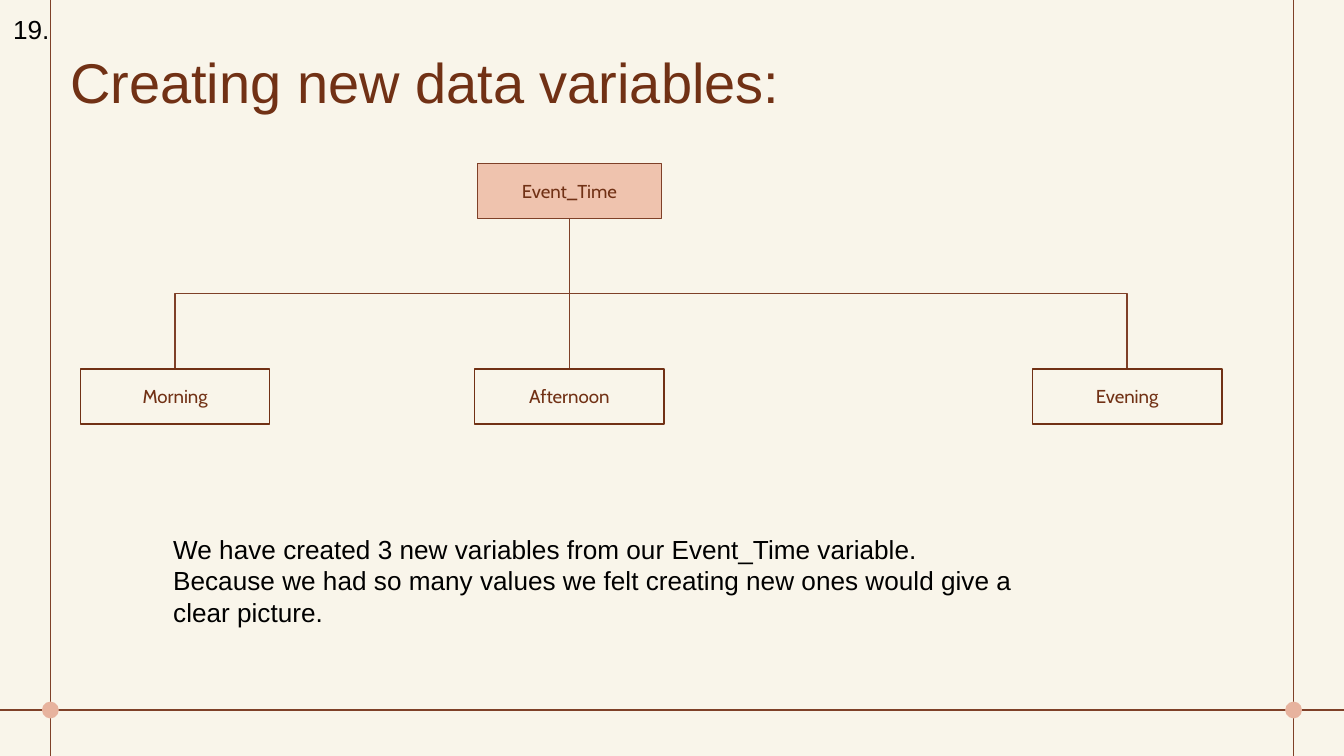
"""Build a slide showing how Event_Time splits into three new variables."""
from dataclasses import dataclass
from typing import Optional

from lxml import etree
from pptx import Presentation
from pptx.dml.color import RGBColor
from pptx.enum.shapes import MSO_CONNECTOR, MSO_SHAPE
from pptx.enum.text import MSO_ANCHOR, MSO_AUTO_SIZE, PP_ALIGN
from pptx.oxml.ns import qn
from pptx.util import Pt

STRAIGHT, ELBOW = MSO_CONNECTOR.STRAIGHT, MSO_CONNECTOR.ELBOW
RECT, OVAL = MSO_SHAPE.RECTANGLE, MSO_SHAPE.OVAL
TOP, MIDDLE = MSO_ANCHOR.TOP, MSO_ANCHOR.MIDDLE
LEFT, CENTER = PP_ALIGN.LEFT, PP_ALIGN.CENTER
NO_FIT, GROW = MSO_AUTO_SIZE.NONE, MSO_AUTO_SIZE.SHAPE_TO_FIT_TEXT

CREAM = RGBColor(0xF9, 0xF5, 0xEA)
BROWN = RGBColor(0x71, 0x31, 0x15)
RULE = RGBColor(0x7F, 0x40, 0x28)
PINK = RGBColor(0xEF, 0xC3, 0xAE)
DOT = RGBColor(0xE7, 0xB3, 0x9E)
BLACK = RGBColor(0, 0, 0)

WIDTH, HEIGHT = 720, 405
MARGIN, BASE_Y, DOT_SIZE, BLEED = 27, 380.4, 9, 4.5
BOX_H, LINE_W = 29.4, 0.75
CHILD_Y, CHILD_W = 197.7, 101.6


@dataclass
class Node:
    text: str
    mid: float
    top: float
    width: float
    line: RGBColor
    fill: Optional[RGBColor] = None


@dataclass
class Note:
    lines: list[str]
    left: float
    top: float
    width: float
    height: float


ROOT = Node("Event_Time", 305, 87.6, 98.6, RULE, PINK)
CHILDREN = [
    Node(text, mid, CHILD_Y, CHILD_W, BROWN)
    for text, mid in (("Morning", 93.8), ("Afternoon", 305), ("Evening", 603.8))
]
NOTES = [
    Note(
        [
            "We have created 3 new variables from our Event_Time variable.",
            "Because we had so many values we felt creating new ones would give a clear picture.",
        ],
        85.7, 282.2, 481, 58.3,
    ),
    Note(["19."], 0, 3.6, 360, 24.5),
]


def style_text(tf, font: str, size: float, color: RGBColor, align=LEFT) -> None:
    """Format every paragraph and run of a text frame."""
    for p in tf.paragraphs:
        p.alignment = align
        for r in p.runs:
            r.font.name, r.font.size = font, Pt(size)
            r.font.color.rgb = color


def add_line(s, kind, x1: float, y1: float, x2: float, y2: float):
    """Add a thin brown connector without a shadow."""
    sp = s.shapes.add_connector(kind, Pt(x1), Pt(y1), Pt(x2), Pt(y2))
    sp.line.color.rgb, sp.line.width = RULE, Pt(LINE_W)
    etree.SubElement(sp._element.spPr, qn("a:effectLst"))
    return sp


def add_frame(s) -> None:
    """Draw the margin rules and the dots where they cross."""
    sides = (MARGIN, WIDTH - MARGIN)
    add_line(s, STRAIGHT, 0, BASE_Y, WIDTH, BASE_Y)
    for x in sides:
        add_line(s, STRAIGHT, x, -BLEED, x, HEIGHT + BLEED)
    for x in sides:
        sp = s.shapes.add_shape(OVAL, Pt(x - DOT_SIZE / 2), Pt(BASE_Y - DOT_SIZE / 2),
                                Pt(DOT_SIZE), Pt(DOT_SIZE))
        sp.shadow.inherit = False
        sp.fill.solid()
        sp.fill.fore_color.rgb = DOT
        sp.line.fill.background()


def add_branch(s, parent: Node, child: Node) -> None:
    """Join two nodes with an elbow turned to leave the parent downwards."""
    top = parent.top + BOX_H
    drop, shift = child.top - top, parent.mid - child.mid
    x, y = (parent.mid + child.mid) / 2, (top + child.top) / 2
    sp = add_line(s, ELBOW, x - drop / 2, y - shift / 2, x + drop / 2, y + shift / 2)
    sp._element.spPr.find(qn("a:xfrm")).set("rot", str(90 * 60000))


def add_node(s, node: Node) -> None:
    """Draw one labelled box of the tree."""
    sp = s.shapes.add_shape(RECT, Pt(node.mid - node.width / 2), Pt(node.top),
                            Pt(node.width), Pt(BOX_H))
    sp.shadow.inherit = False
    if node.fill is None:
        sp.fill.background()
    else:
        sp.fill.solid()
        sp.fill.fore_color.rgb = node.fill
    sp.line.color.rgb, sp.line.width = node.line, Pt(LINE_W)
    tf = sp.text_frame
    tf.text = node.text
    tf.vertical_anchor = MIDDLE
    tf.margin_top = tf.margin_bottom = Pt(7.2)
    style_text(tf, "Cabin", 10, BROWN, CENTER)


def add_note(s, note: Note) -> None:
    """Add a wrapped text box."""
    sp = s.shapes.add_textbox(Pt(note.left), Pt(note.top), Pt(note.width), Pt(note.height))
    tf = sp.text_frame
    tf.word_wrap, tf.auto_size = True, GROW
    tf.text = "\n".join(note.lines)
    style_text(tf, "Arial", 14, BLACK)


def set_title(s, text: str) -> None:
    """Place and format the title placeholder."""
    sp = s.shapes.title
    sp.left, sp.top, sp.width, sp.height = Pt(30.4), Pt(15.2), Pt(607), Pt(45.4)
    tf = sp.text_frame
    tf.text = text
    tf.vertical_anchor, tf.auto_size = TOP, NO_FIT
    tf.margin_top = Pt(10)
    style_text(tf, "Arial", 30, BROWN)


def main() -> None:
    """Build and save the slide."""
    prs = Presentation()
    prs.slide_width, prs.slide_height = Pt(WIDTH), Pt(HEIGHT)
    s = prs.slides.add_slide(prs.slide_layouts[5])
    s.background.fill.solid()
    s.background.fill.fore_color.rgb = CREAM
    add_frame(s)
    set_title(s, "Creating new data variables:")
    for child in CHILDREN:
        add_branch(s, ROOT, child)
    for node in (ROOT, *CHILDREN):
        add_node(s, node)
    for note in NOTES:
        add_note(s, note)
    prs.save("out.pptx")


if __name__ == "__main__":
    main()
